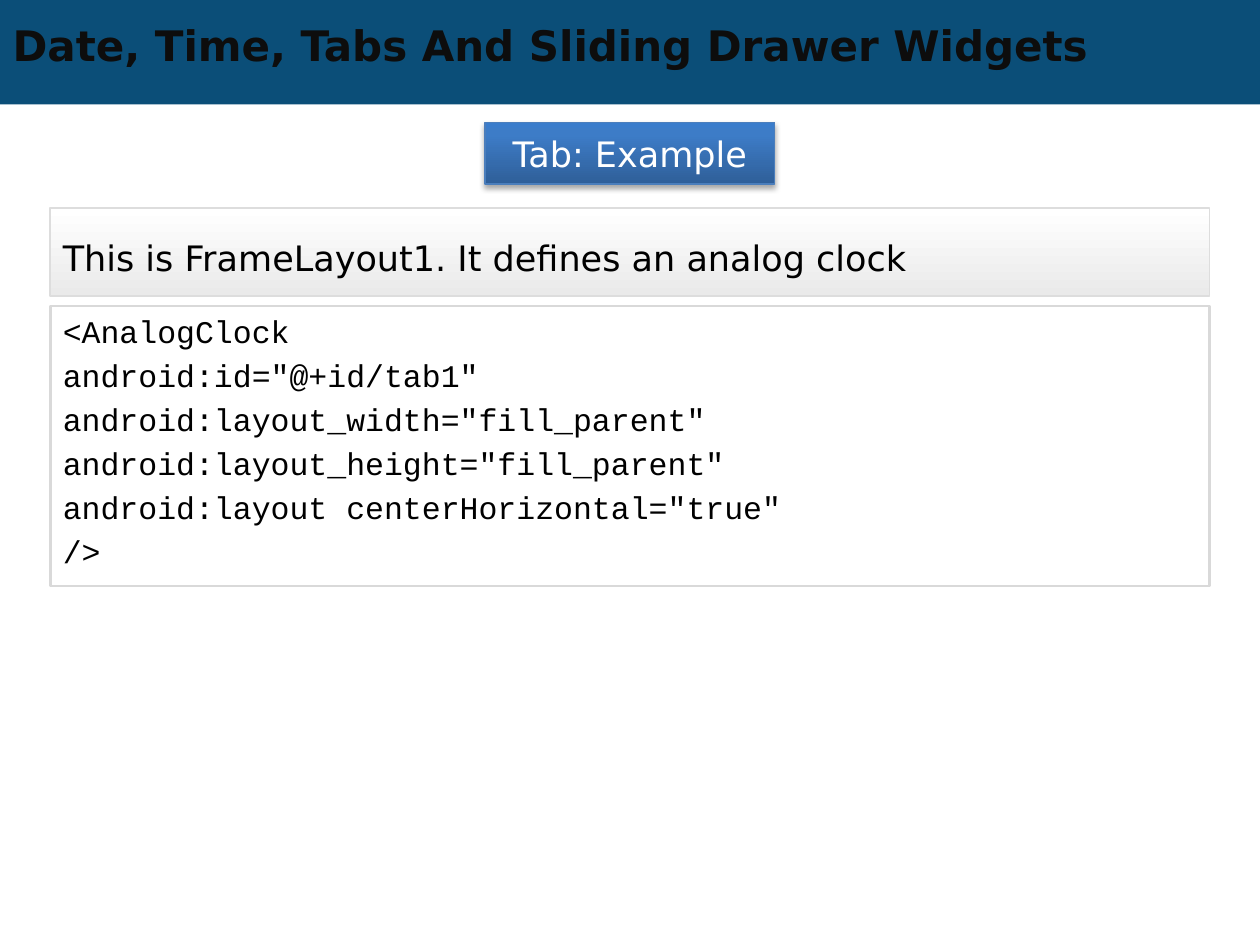
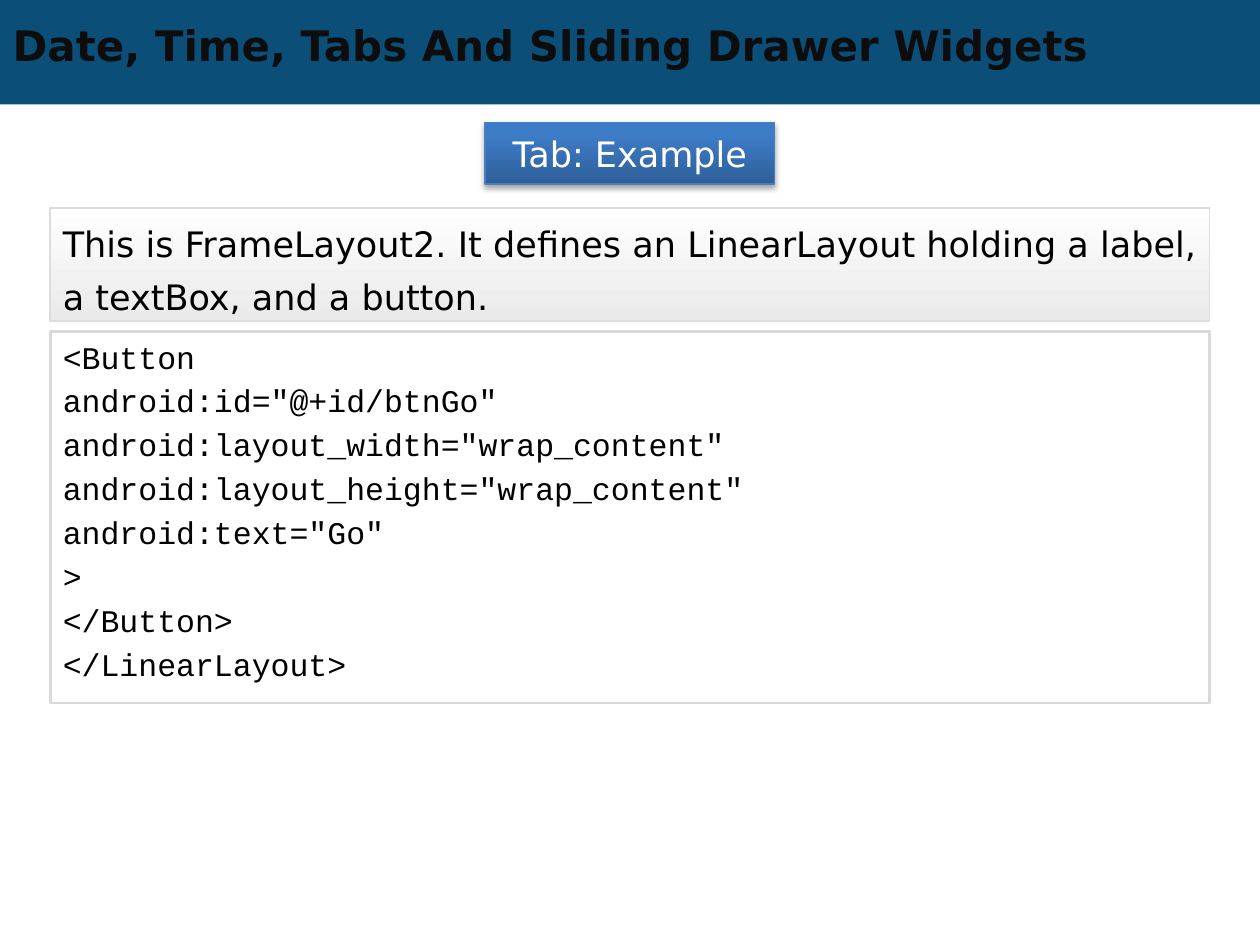
from pptx import Presentation
from pptx import util as u
from pptx.dml.color import RGBColor
from pptx.enum import shapes, text
from pptx.oxml import parse_xml
from pptx.oxml.ns import nsdecls

# Theme
theme = {
    "sans": "DejaVu Sans", "mono": "Courier New",
    "head": 24, "body": 20, "code": 18,
    "band": "0B4E78", "ink": "000000", "title": "0D0D0D", "light": "FFFFFF",
    "tag": [(0, "2F5F99"), (80, "3D7CC7"), (100, "3A7CCB")], "rim": "4B7EBC",
    "note": [(0, "FFFFFF"), (100, "EAEAEA")], "edge": "DDDDDD", "frame": "D9D9D9",
}
LEFT, TOP, WIDTH, GAP = 0.4, 1.65, 9.2, 0.08
LINE, PAD = 0.365, 0.03

pages = [
    ("This is FrameLayout1. It defines an analog clock", 0.7,
     """<AnalogClock
android:id="@+id/tab1"
android:layout_width="fill_parent"
android:layout_height="fill_parent"
android:layout centerHorizontal="true"
/>"""),
    ("This is FrameLayout2. It defines an LinearLayout holding a label, "
     "a textBox, and a button.", 0.9,
     """<Button
android:id="@+id/btnGo"
android:layout_width="wrap_content"
android:layout_height="wrap_content"
android:text="Go"
>
</Button>
</LinearLayout>"""),
]


def box(slide, at, fill=None, angle=0, line=None, width=1):
    """Add a rectangle with a plain, gradient or empty fill."""
    shape = slide.shapes.add_shape(shapes.MSO_SHAPE.RECTANGLE, *map(u.Inches, at))
    if isinstance(fill, list):
        stops = "".join(f'<a:gs pos="{pos * 1000}"><a:srgbClr val="{tint}"/></a:gs>'
                        for pos, tint in fill)
        shape._element.spPr.insert(2, parse_xml(
            f'<a:gradFill {nsdecls("a")} rotWithShape="1"><a:gsLst>{stops}</a:gsLst>'
            f'<a:lin ang="{angle * 60000}" scaled="0"/></a:gradFill>'))
    elif fill:
        shape.fill.solid()
        shape.fill.fore_color.rgb = RGBColor.from_string(fill)
    else:
        shape.fill.background()
    if line:
        shape.line.color.rgb = RGBColor.from_string(line)
        shape.line.width = u.Pt(width)
    else:
        shape.line.fill.background()
    shape.shadow.inherit = False
    return shape


def write(shape, words, face, size, tint, align=text.PP_ALIGN.LEFT, bold=False):
    """Fill a shape with one paragraph per line of words."""
    frame = shape.text_frame
    frame.text = words
    frame.word_wrap = True
    frame.vertical_anchor = text.MSO_ANCHOR.MIDDLE
    for para in frame.paragraphs:
        para.alignment = align
        para.font.name, para.font.size, para.font.bold = face, u.Pt(size), bold
        para.font.color.rgb = RGBColor.from_string(tint)
    return frame


deck = Presentation()
deck.slide_width, deck.slide_height = u.Inches(10), u.Inches(7.5)
layout = deck.slide_layouts[5]

for index, (note, tall, code) in enumerate(pages):
    slide = deck.slides.add_slide(layout)

    # Band, shared through the layout
    if index == 0:
        band = box(slide, (0, 0, 10, 0.83), theme["band"])
        layout.shapes._spTree.insert(2, band._element)

    # Title
    title = slide.shapes.title
    title.left, title.top, title.width, title.height = map(u.Inches, (0, 0.14, 9, 0.43))
    write(title, "Date, Time, Tabs And Sliding Drawer Widgets",
          theme["sans"], theme["head"], theme["title"], bold=True)

    # Topic tag with its soft shadow
    tag = box(slide, (3.85, 0.97, 2.3, 0.49), theme["tag"], 270, theme["rim"], 0.75)
    tag._element.spPr[-1].append(parse_xml(
        f'<a:outerShdw {nsdecls("a")} blurRad="{u.Pt(3.1)}" dist="{u.Pt(1.8)}" '
        'dir="5400000" rotWithShape="0"><a:srgbClr val="000000">'
        '<a:alpha val="35000"/></a:srgbClr></a:outerShdw>'))
    write(tag, "Tab: Example", theme["sans"], theme["body"], theme["light"],
          text.PP_ALIGN.CENTER)

    # Code listing
    high = PAD + LINE * len(code.splitlines())
    pane = box(slide, (LEFT, TOP + tall + GAP, WIDTH, high),
               line=theme["frame"], width=1.5)
    frame = write(pane, code, theme["mono"], theme["code"], theme["ink"])
    frame.vertical_anchor = text.MSO_ANCHOR.TOP
    frame.margin_top = u.Inches(0.05)
    for para in frame.paragraphs[1:]:
        para.space_before = u.Pt(3.5)

    # Explanation
    panel = box(slide, (LEFT, TOP, WIDTH, tall), theme["note"], 90, theme["edge"])
    frame = write(panel, note, theme["sans"], theme["body"], theme["ink"],
                  text.PP_ALIGN.JUSTIFY)
    frame.paragraphs[0].line_spacing = u.Pt(30)

deck.save("out.pptx")
